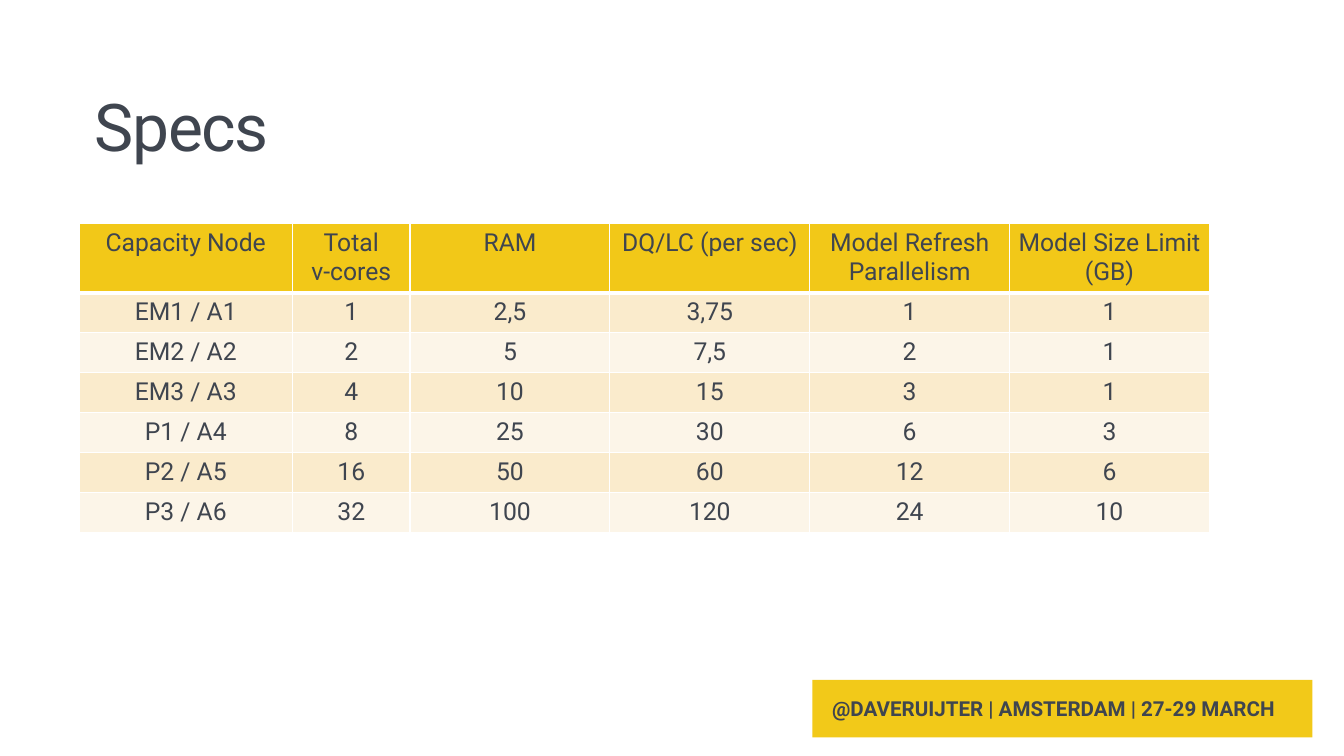
from dataclasses import dataclass

from lxml.etree import SubElement
from pptx import Presentation
from pptx.dml.color import RGBColor
from pptx.enum.shapes import MSO_SHAPE
from pptx.enum.text import MSO_ANCHOR, PP_ALIGN
from pptx.oxml.ns import qn
from pptx.util import Pt


@dataclass(frozen=True)
class Theme:
    face: str = "Roboto"
    ink: str = "3F454F"
    gold: str = "F2C919"
    head: str = "F2C818"
    bands: tuple = ("FAEBCC", "FCF5E8")
    rule: str = "FFFFFF"
    title: int = 48
    cell: int = 18
    foot: int = 15


THEME = Theme()
WIDTHS = [155.5, 85.7] + [145.6] * 4
HEAD_H, ROW_H = 48.8, 29.15
ROWS = [
    ["Capacity Node", "Total\nv-cores", "RAM", "DQ/LC (per sec)",
     "Model Refresh Parallelism", "Model Size Limit (GB)"],
    ["EM1 / A1", "1", "2,5", "3,75", "1", "1"],
    ["EM2 / A2", "2", "5", "7,5", "2", "1"],
    ["EM3 / A3", "4", "10", "15", "3", "1"],
    ["P1 / A4", "8", "25", "30", "6", "3"],
    ["P2 / A5", "16", "50", "60", "12", "6"],
    ["P3 / A6", "32", "100", "120", "24", "10"],
]


def paint(fill, color):
    fill.solid()
    fill.fore_color.rgb = RGBColor.from_string(color)


def style(para, size, align=PP_ALIGN.LEFT, bold=False):
    para.alignment = align
    font = para.font
    font.name, font.size, font.bold = THEME.face, Pt(size), bold
    font.color.rgb = RGBColor.from_string(THEME.ink)


def inset(box, side, top):
    box.margin_left = box.margin_right = Pt(side)
    box.margin_top = box.margin_bottom = Pt(top)


def add_title(slide, text):
    frame = slide.shapes.add_textbox(Pt(57.6), Pt(59), Pt(900), Pt(72)).text_frame
    frame.word_wrap = True
    frame.vertical_anchor = MSO_ANCHOR.MIDDLE
    inset(frame, 11.5, 7.2)
    para = frame.paragraphs[0]
    run = para.add_run()
    run.text = text
    run.font._element.set("spc", "-100")
    para.line_spacing = 0.9
    style(para, THEME.title)


def add_footer(slide, text):
    bar = slide.shapes.add_shape(
        MSO_SHAPE.RECTANGLE, Pt(591.8), Pt(495.4), Pt(364.4), Pt(41.8))
    bar.shadow.inherit = False
    paint(bar.fill, THEME.gold)
    bar.line.fill.background()
    frame = bar.text_frame
    frame.word_wrap = True
    frame.vertical_anchor = MSO_ANCHOR.TOP
    inset(frame, 14.4, 11.5)
    frame.text = text
    style(frame.paragraphs[0], THEME.foot, bold=True)


def add_rules(cell, top, base):
    props = cell._tc.get_or_add_tcPr()
    for side, width in zip("LRTB", (1, 1, top, base)):
        line = SubElement(props, qn(f"a:ln{side}"), w=str(Pt(width)))
        fill = SubElement(line, qn("a:solidFill"))
        SubElement(fill, qn("a:srgbClr"), val=THEME.rule)


def fill_cell(cell, text, row):
    cell.text = text
    inset(cell, 3.6, 3.6)
    for para in cell.text_frame.paragraphs:
        style(para, THEME.cell, PP_ALIGN.CENTER)
    add_rules(cell, 3 if row == 1 else 1, 3 if row == 0 else 1)
    paint(cell.fill, THEME.bands[(row - 1) % 2] if row else THEME.head)


def add_specs(slide):
    heights = [HEAD_H] + [ROW_H] * (len(ROWS) - 1)
    table = slide.shapes.add_table(
        len(ROWS), len(WIDTHS), Pt(57.6), Pt(162.9),
        Pt(sum(WIDTHS)), Pt(sum(heights))).table
    for col, width in zip(table.columns, WIDTHS):
        col.width = Pt(width)
    for row, height in zip(table.rows, heights):
        row.height = Pt(height)
    for r, texts in enumerate(ROWS):
        for c, text in enumerate(texts):
            fill_cell(table.cell(r, c), text, r)


def main():
    deck = Presentation()
    deck.slide_width, deck.slide_height = Pt(979.2), Pt(550.8)
    slide = deck.slides.add_slide(deck.slide_layouts[6])
    add_footer(slide, "@DAVERUIJTER | AMSTERDAM | 27-29 MARCH")
    add_title(slide, "Specs")
    add_specs(slide)
    deck.save("out.pptx")


if __name__ == "__main__":
    main()
